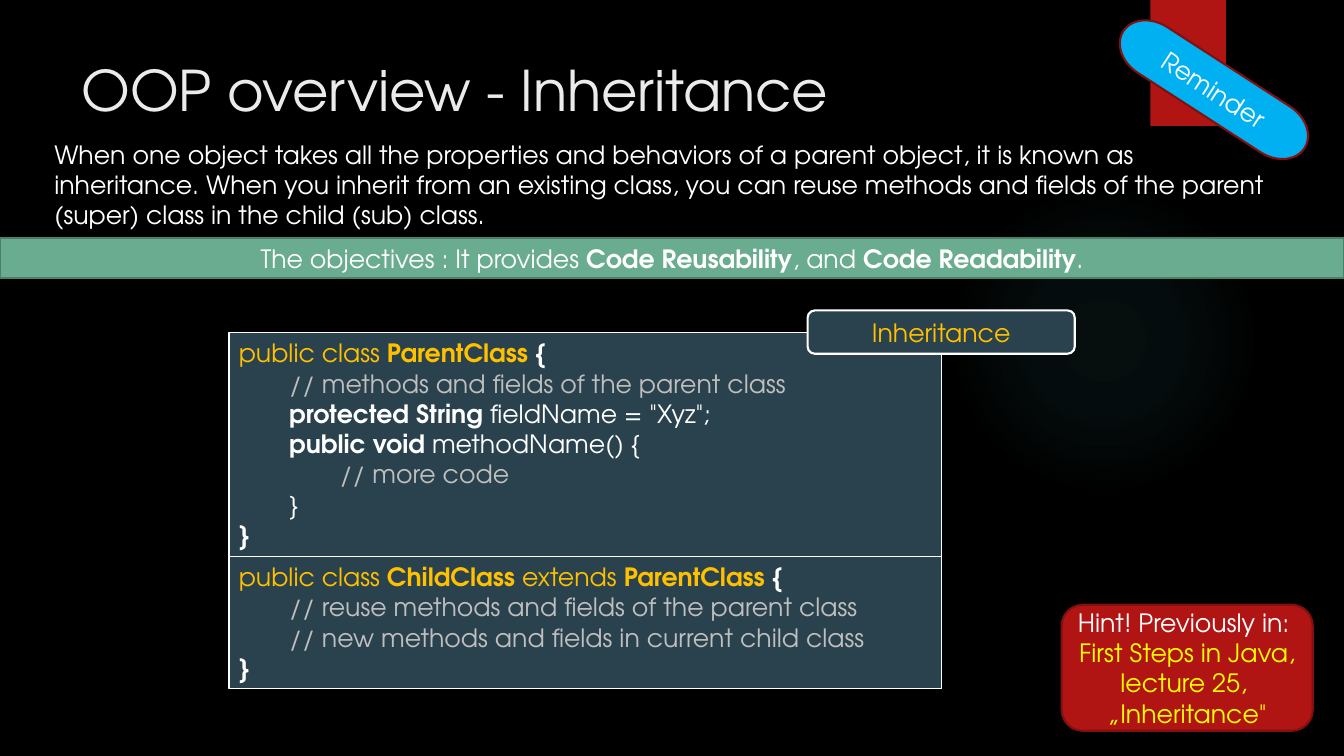
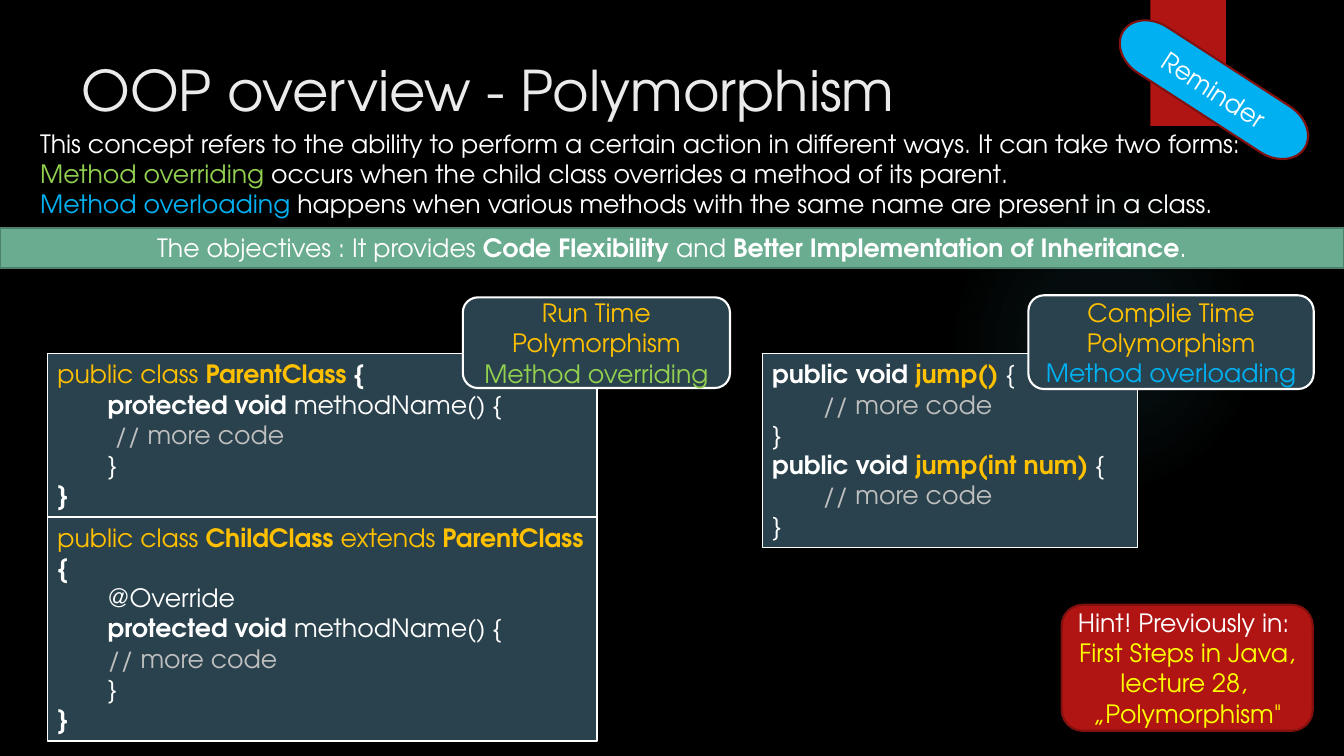
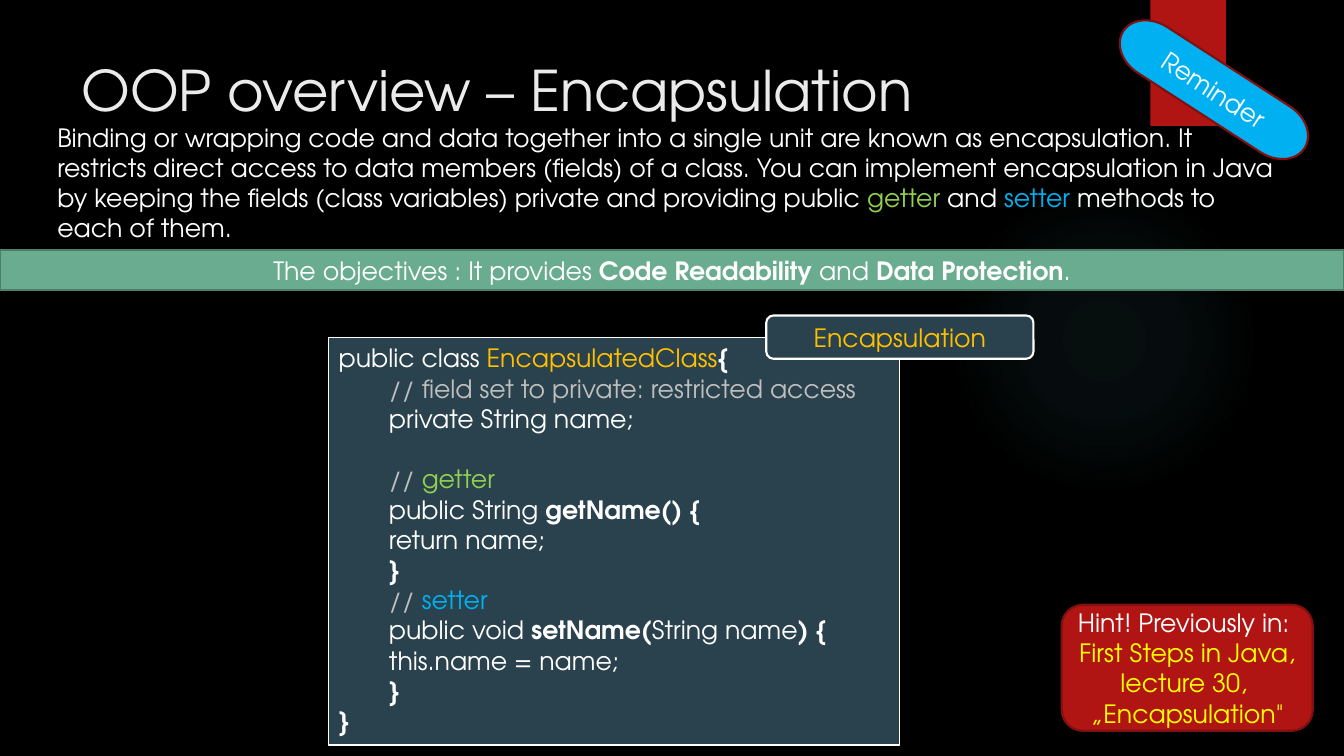
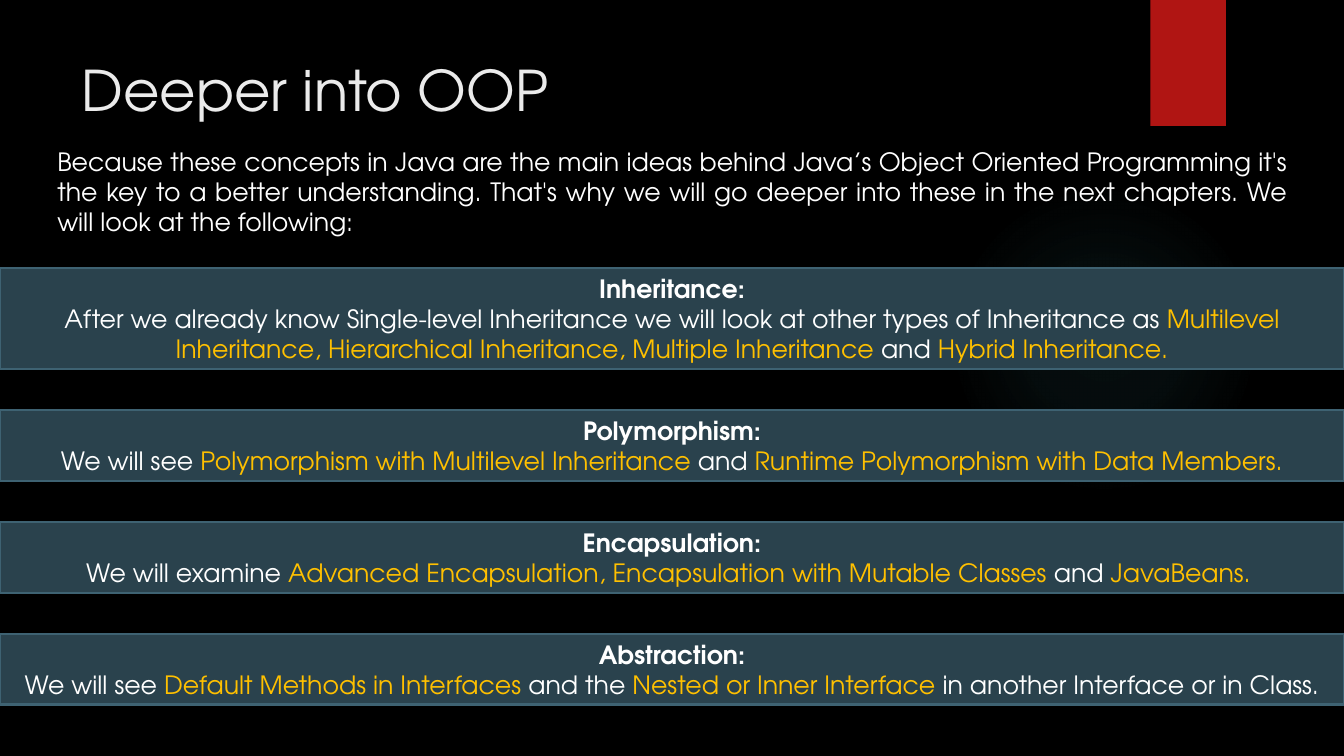
from lxml import etree
from pptx import Presentation
from pptx.dml.color import RGBColor
from pptx.enum.shapes import MSO_SHAPE as Shape
from pptx.enum.text import MSO_ANCHOR as Anchor, MSO_AUTO_SIZE as AutoSize, PP_ALIGN as Align
from pptx.oxml import parse_xml
from pptx.oxml.ns import nsdecls, qn
from pptx.util import Inches, Pt

FONT = "TeX Gyre Adventor"
BLACK, WHITE, TITLE_WHITE, GREY = "000000", "FFFFFF", "EBEBEB", "BFBFBF"
GOLD, YELLOW, LIME, BLUE = "FFC000", "FFFF00", "92D050", "00B0F0"
RED, DARK_RED = "B01513", "82100E"
GREEN, DARK_GREEN = "6AAC90", "4E7F6B"
SLATE, SLATE_EDGE, GLOW = "2A424D", "3E6272", "50B9C1"

WIDTH = 13.33
LINE_HEIGHT = 0.3
INSET = 0.05
TAB_STOPS = (0.5, 1)


def color(hex_string):
    return RGBColor.from_string(hex_string)


class Deck:
    """Holds the shared style and the slide being built.

    Text is a list of paragraphs, each a list of runs; a run is a plain
    string or a tuple of text, colour and, if wanted, True for bold.
    """

    def __init__(self):
        self.presentation = Presentation()
        self.presentation.slide_width = Inches(WIDTH)
        self.presentation.slide_height = Inches(7.5)
        self.layout = self.presentation.slide_layouts[5]
        self.slide = None
        background = self.presentation.slide_master.background.fill
        background.solid()
        background.fore_color.rgb = color(BLACK)
        title = self.layout.placeholders[0]
        title.left, title.top = Inches(0.71), Inches(0.5)
        title.width, title.height = Inches(10.76), Inches(0.88)
        title.text_frame.vertical_anchor = Anchor.TOP
        title.text_frame.auto_size = AutoSize.NONE

    def add_slide(self, title):
        first = self.slide is None
        self.slide = self.presentation.slides.add_slide(self.layout)
        if first:
            self.decorate_layout()
        frame = self.slide.shapes.title.text_frame
        self.fill_text(frame, [[(title, TITLE_WHITE)]], size=40)

    def decorate_layout(self):
        """Draw the glow and the red tab, and move them behind the layout's placeholders."""
        glow = self.shape(Shape.OVAL, 9.41, 1.83, 3.08, 3.08, GLOW)
        stops = "".join(
            f'<a:gs pos="{position}000"><a:srgbClr val="{GLOW}">'
            f'<a:alpha val="{alpha}000"/></a:srgbClr></a:gs>'
            for position, alpha in ((0, 7), (36, 6), (69, 0), (100, 0)))
        gradient = parse_xml(
            f'<a:gradFill {nsdecls("a")}><a:gsLst>{stops}</a:gsLst><a:path path="circle">'
            '<a:fillToRect l="50000" t="50000" r="50000" b="50000"/></a:path></a:gradFill>')
        properties = glow.element.spPr
        properties.replace(properties.find(qn("a:solidFill")), gradient)
        tab = self.shape(Shape.RECTANGLE, 11.41, 0, 0.75, 1.25, RED)
        for index, decoration in enumerate((glow, tab)):
            decoration.element.nvSpPr.cNvPr.set("id", str(100 + index))
            self.layout.shapes.element.insert(2 + index, decoration.element)

    def fill_text(self, frame, paragraphs, align=Align.LEFT, size=18):
        for index, runs in enumerate(paragraphs):
            paragraph = frame.add_paragraph() if index else frame.paragraphs[0]
            paragraph.alignment = align
            for run in runs:
                text, hex_string, *bold = (run, WHITE) if isinstance(run, str) else run
                self.add_run(paragraph, text, hex_string, bool(bold), size)

    def add_run(self, paragraph, text, hex_string, bold, size):
        for index, piece in enumerate(text.split("\n")):
            if index:
                paragraph.add_line_break()
            if piece:
                run = paragraph.add_run()
                run.text = piece
                run.font.name, run.font.size, run.font.bold = FONT, Pt(size), bold
                run.font.color.rgb = color(hex_string)

    def shape(self, kind, left, top, width, height, fill, line=None, line_width=1.5):
        shape = self.slide.shapes.add_shape(
            kind, Inches(left), Inches(top), Inches(width), Inches(height))
        shape.shadow.inherit = False
        shape.fill.solid()
        shape.fill.fore_color.rgb = color(fill)
        if line:
            shape.line.color.rgb = color(line)
            shape.line.width = Pt(line_width)
        else:
            shape.line.fill.background()
        shape.text_frame.word_wrap = True
        return shape

    def intro(self, left, top, width, paragraphs, align=Align.LEFT):
        box = self.slide.shapes.add_textbox(
            Inches(left), Inches(top), Inches(width), Inches(1.01))
        box.text_frame.word_wrap = True
        self.fill_text(box.text_frame, paragraphs, align)

    def band(self, top, height, fill, line, paragraphs):
        """Draw a full-width strip with centred text."""
        band = self.shape(Shape.RECTANGLE, 0, top, WIDTH, height, fill, line)
        self.fill_text(band.text_frame, paragraphs, Align.CENTER)

    def objectives(self, top, runs):
        self.band(top, 0.4, GREEN, DARK_GREEN, [["The objectives : It provides ", *runs]])

    def code(self, left, top, width, height, lines):
        box = self.shape(Shape.RECTANGLE, left, top, width, height, SLATE, WHITE, 1)
        box.text_frame.vertical_anchor = Anchor.TOP
        self.fill_text(box.text_frame, lines)
        for paragraph in box.text_frame.paragraphs:
            tabs = etree.SubElement(paragraph._p.get_or_add_pPr(), qn("a:tabLst"))
            for stop in TAB_STOPS:
                etree.SubElement(tabs, qn("a:tab"), pos=str(Inches(stop)), algn="l")

    def label(self, left, top, width, height, runs):
        label = self.shape(Shape.ROUNDED_RECTANGLE, left, top, width, height, SLATE, WHITE)
        self.fill_text(label.text_frame, [runs], Align.CENTER)

    def hint(self, lecture, topic):
        hint = self.shape(
            Shape.FLOWCHART_ALTERNATE_PROCESS, 10.53, 6, 2.49, 1.25, RED, DARK_RED)
        self.fill_text(hint.text_frame, [
            ["Hint! Previously in: "],
            [(f"First Steps in Java, lecture {lecture}, ", YELLOW)],
            [(f"„{topic}\"", YELLOW)],
        ], Align.CENTER)

    def reminder(self):
        pill = self.shape(
            Shape.FLOWCHART_TERMINATOR, 10.97, 0.62, 2.14, 0.54, BLUE, DARK_RED)
        pill.rotation = 32.9
        self.fill_text(pill.text_frame, [["Reminder"]], Align.CENTER)


PARENT_HEADER = [("public class ", GOLD), ("ParentClass ", GOLD, True), ("{", WHITE, True)]
CHILD_HEADER = [("public class ", GOLD), ("ChildClass ", GOLD, True), ("extends ", GOLD),
                ("ParentClass ", GOLD, True), ("{", WHITE, True)]
CLASS_END = [("}", WHITE, True)]
METHOD_END = ["\t}"]
PROTECTED_METHOD = ["\t", ("protected void ", WHITE, True), "methodName() {"]
MORE_CODE = [("\t// more code", GREY)]


def add_inheritance(deck):
    deck.add_slide("OOP overview - Inheritance")
    deck.intro(0.44, 1.33, 12.25, [[
        "When one object takes all the properties and behaviors of a parent object, it is known "
        "as inheritance. When you inherit from an existing class, you can reuse methods and "
        "fields of the parent (super) class in the child (sub) class."]])
    deck.objectives(2.36, [("Code Reusability", WHITE, True), ", and ",
                           ("Code Readability", WHITE, True), "."])
    deck.code(2.27, 5.52, 7.07, 1.31, [
        CHILD_HEADER,
        [("\t// reuse methods and fields of the parent class", GREY)],
        [("\t// new methods and fields in current child class", GREY)],
        CLASS_END,
    ])
    deck.code(2.27, 3.3, 7.07, 2.22, [
        PARENT_HEADER,
        [("\t// methods and fields of the parent class", GREY)],
        ["\t", ("protected String ", WHITE, True), "fieldName = \"Xyz\";"],
        ["\t", ("public void ", WHITE, True), "methodName() {"],
        ["\t", *MORE_CODE],
        METHOD_END,
        CLASS_END,
    ])
    deck.label(8.01, 3.08, 2.65, 0.43, [("Inheritance", GOLD)])
    deck.hint(25, "Inheritance")
    deck.reminder()


def add_polymorphism(deck):
    deck.add_slide("OOP overview - Polymorphism")
    deck.intro(0.3, 1.22, 12.8, [
        ["This concept refers to the ability to perform a certain action in different ways. "
         "It can take two forms: ", ("Method overriding ", LIME),
         "occurs when the child class overrides a method of its parent."],
        [("Method overloading ", BLUE),
         "happens when various methods with the same name are present in a class."],
    ])
    deck.objectives(2.26, [("Code Flexibility ", WHITE, True), "and ",
                           ("Better Implementation of Inheritance", WHITE, True), "."])
    overloads = []
    for signature in ("jump() ", "jump(int num) "):
        overloads += [
            [("public void ", WHITE, True), (signature, GOLD, True), "{"], MORE_CODE, ["}"]]
    deck.code(7.56, 3.51, 3.72, 1.92, overloads)
    deck.code(0.47, 5.13, 5.45, 2.22, [
        CHILD_HEADER, ["\t@Override"], PROTECTED_METHOD, MORE_CODE, METHOD_END, CLASS_END])
    deck.code(0.47, 3.51, 5.45, 1.62, [
        PARENT_HEADER, PROTECTED_METHOD, [("\t // more code", GREY)], METHOD_END, CLASS_END])
    deck.label(4.59, 2.95, 2.65, 0.9, [
        ("Run Time Polymorphism ", GOLD), ("Method overriding", LIME)])
    deck.label(10.2, 2.93, 2.83, 0.93, [
        ("Complie Time Polymorphism ", GOLD), ("Method overloading", BLUE)])
    deck.hint(28, "Polymorphism")
    deck.reminder()


def add_encapsulation(deck):
    deck.add_slide("OOP overview – Encapsulation")
    deck.intro(0.47, 1.16, 12.3, [[
        "Binding or wrapping code and data together into a single unit are known as "
        "encapsulation. It restricts direct access to data members (fields) of a class. You can "
        "implement encapsulation in Java by keeping the fields (class variables) private and "
        "providing public ", ("getter", LIME), " and ", ("setter", BLUE),
        " methods to each of them."]])
    deck.objectives(2.48, [("Code Readability ", WHITE, True), "and ",
                           ("Data Protection", WHITE, True), "."])
    deck.code(3.26, 3.35, 5.66, 4.04, [
        ["public class ", ("EncapsulatedClass", GOLD), ("{", WHITE, True)],
        [("\t// field set to private: restricted access", GREY)],
        ["\tprivate String name;\n\n", ("\t// ", GREY), ("getter", LIME)],
        ["\tpublic String ", ("getName() {", WHITE, True)],
        ["\treturn name;"],
        [("\t}", WHITE, True)],
        [("\t// ", GREY), ("setter", BLUE)],
        ["\tpublic void ", ("setName(", WHITE, True), "String name", (") {", WHITE, True)],
        ["\tthis.name = name;"],
        [("\t}", WHITE, True)],
        CLASS_END,
    ])
    deck.label(7.6, 3.13, 2.65, 0.43, [("Encapsulation", GOLD)])
    deck.hint(30, "Encapsulation")
    deck.reminder()


def add_outlook(deck):
    deck.add_slide("Deeper into OOP")
    deck.intro(0.47, 1.4, 12.4, [[
        "Because these concepts in Java are the main ideas behind Java’s Object Oriented "
        "Programming it's the key to a better understanding. That's why we will go deeper into "
        "these in the next chapters. We will look at the following:"]], Align.JUSTIFY)
    topics = [
        ("Inheritance:", 3, [
            "After we already know Single-level Inheritance we will look at other types of "
            "Inheritance as ",
            ("Multilevel Inheritance, Hierarchical Inheritance, Multiple Inheritance ", GOLD),
            "and ", ("Hybrid Inheritance.", GOLD)]),
        ("Polymorphism:", 2, [
            "We will see ", ("Polymorphism with Multilevel Inheritance ", GOLD),
            "and ", ("Runtime Polymorphism with Data Members.", GOLD)]),
        ("Encapsulation:", 2, [
            "We will examine ",
            ("Advanced Encapsulation, Encapsulation with Mutable Classes ", GOLD),
            "and ", ("JavaBeans. ", GOLD)]),
        ("Abstraction:", 2, [
            "We will see ", ("Default Methods in Interfaces", GOLD), " and the ",
            ("Nested or Inner Interface ", GOLD), "in another Interface or in Class."]),
    ]
    top, gap = 2.66, 0.41
    for heading, line_count, runs in topics:
        height = line_count * LINE_HEIGHT + 2 * INSET
        deck.band(top, height, SLATE, SLATE_EDGE, [[(heading, WHITE, True)], runs])
        top += height + gap


def main():
    deck = Deck()
    add_inheritance(deck)
    add_polymorphism(deck)
    add_encapsulation(deck)
    add_outlook(deck)
    deck.presentation.save("out.pptx")


if __name__ == "__main__":
    main()
